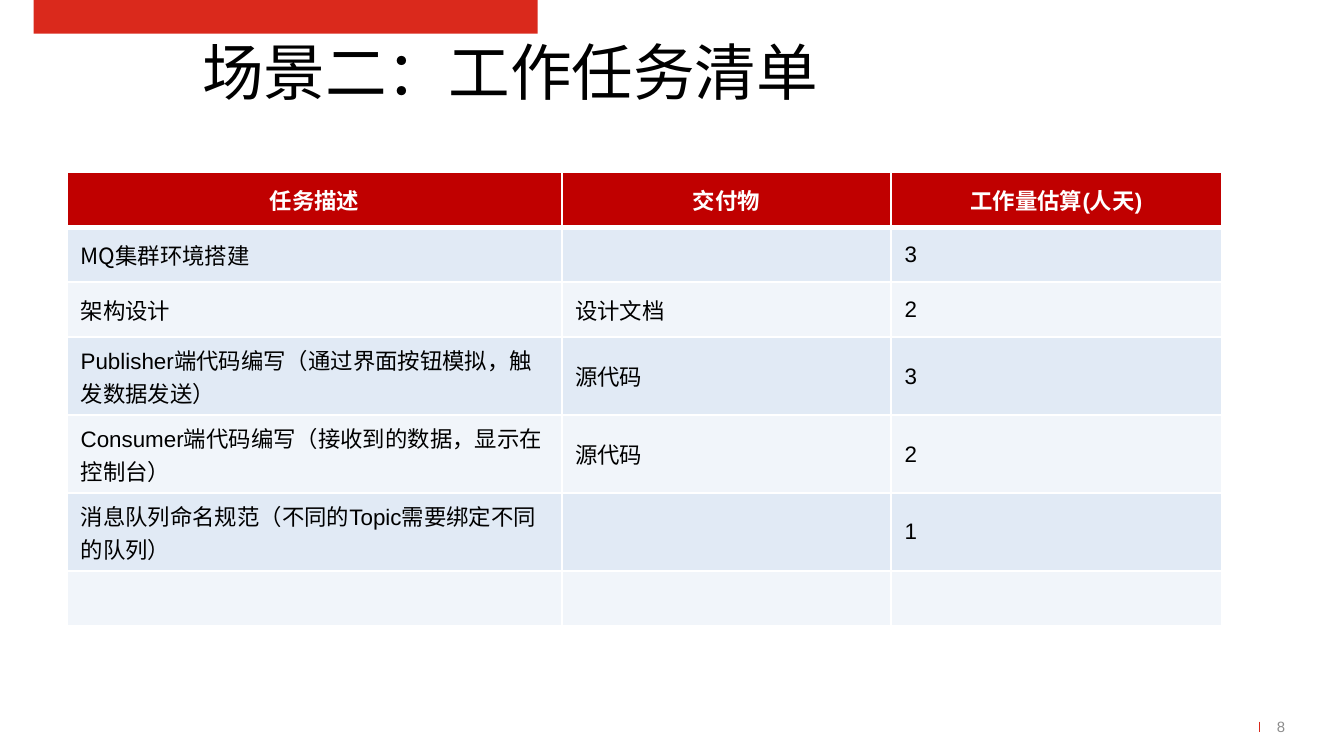
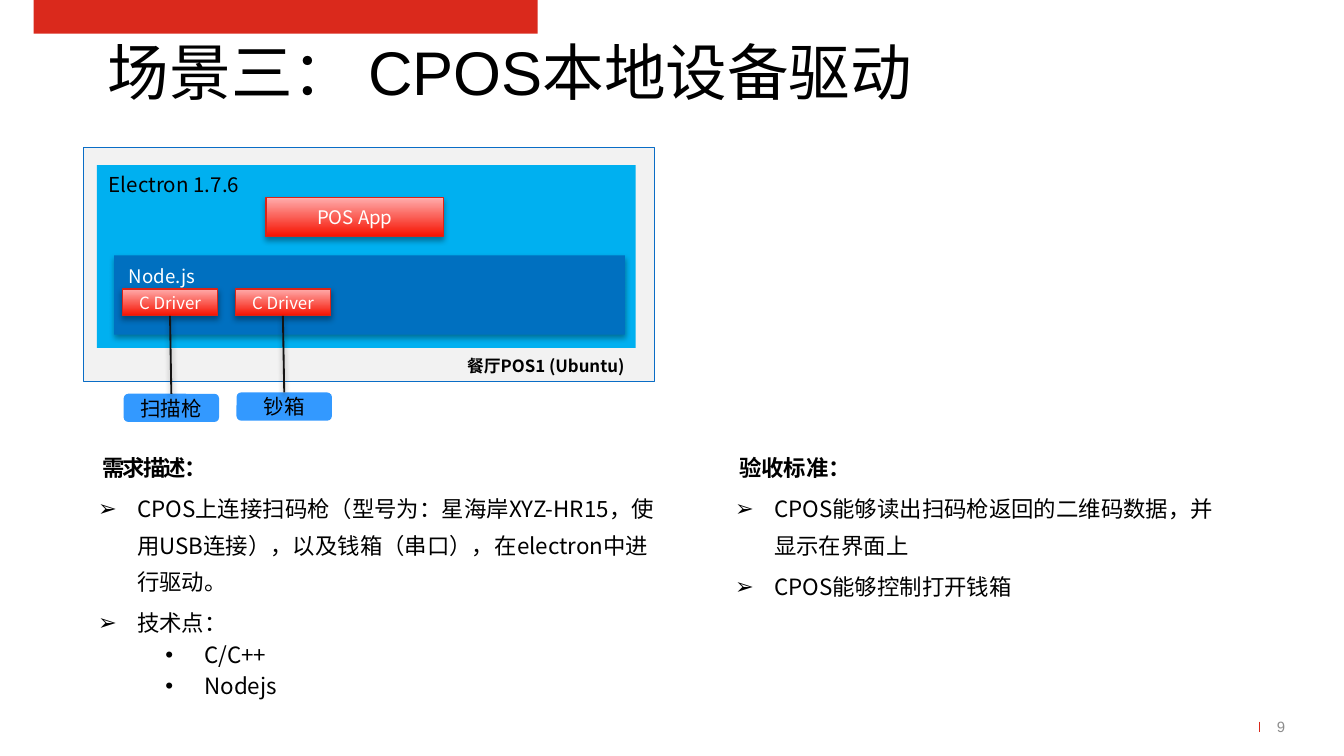
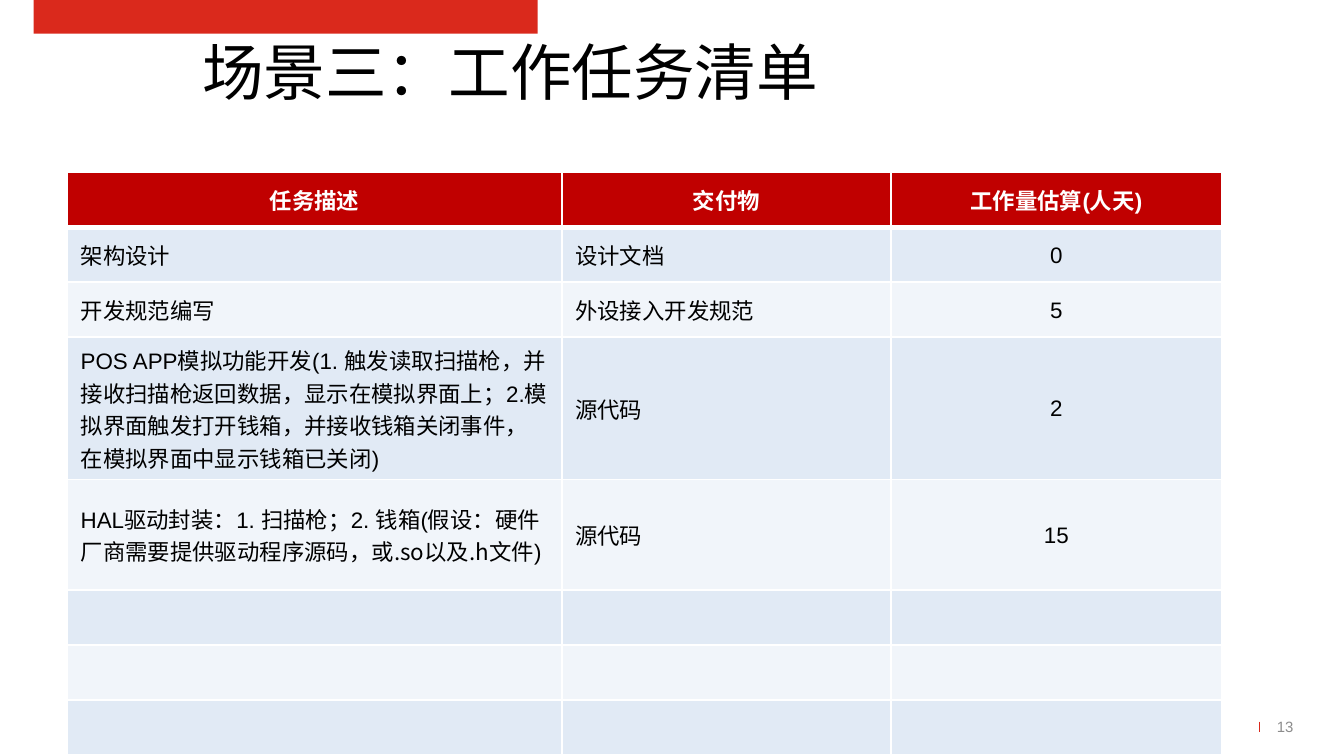
from lxml import etree
from pptx import Presentation
from pptx import util as u
from pptx.dml.color import RGBColor
from pptx.enum import shapes, text
from pptx.oxml import ns

PX = 9144  # EMU per px, 100 px to the inch
ARIAL, NOTO = "Arial", "Noto Sans CJK SC"
COLORS = {
    "red": "DA291C", "black": "000000", "white": "FFFFFF", "gray": "8C8C8C",
    "header": "C00000", "odd": "E1EAF5", "even": "F1F5FA",
    "machine": "F2F2F2", "machine_line": "0A6DC6", "device": "3399FF",
    "electron": "00B0F0", "node": "0070C0", "wire": "141313",
    "glow_bottom": "F61100", "glow_top": "FFADAC", "glow_line": "DA2417",
}
LEFT, CENTER = text.PP_ALIGN.LEFT, text.PP_ALIGN.CENTER
TOP, MIDDLE, BOTTOM = text.MSO_ANCHOR.TOP, text.MSO_ANCHOR.MIDDLE, text.MSO_ANCHOR.BOTTOM
RECT, ROUND = shapes.MSO_SHAPE.RECTANGLE, shapes.MSO_SHAPE.ROUNDED_RECTANGLE


def color(name):
    return RGBColor.from_string(COLORS[name])


def add_xml(parent, tag, **attributes):
    return etree.SubElement(parent, ns.qn(tag), attributes)


class Deck:
    def __init__(self):
        self.presentation = Presentation()
        self.presentation.slide_width = 1000 * PX
        self.presentation.slide_height = self.presentation.slide_width * 9 // 16
        self.slide = None

    def px(self, *lengths):
        return [length * PX for length in lengths]

    def new_slide(self, title, number):
        """Add a slide with the shared band, title and page number."""
        self.slide = self.presentation.slides.add_slide(self.presentation.slide_layouts[6])
        self.shape((25, 0, 375, 25), "red")
        self.text((25, 30, 709, 50), title, 33, font=ARIAL, align=CENTER,
                  anchor=BOTTOM, insets=(0, 0, 0, 0))
        self.text((950, 528, 25, 25), number, 8, "gray", font=ARIAL,
                  anchor=MIDDLE, insets=(0, 0, 0, 0))
        self.line((937, 537, 937, 545), "red", 0.5)

    def style(self, paragraph, size, ink="black", font=NOTO, bold=False, align=LEFT):
        paragraph.alignment = align
        paragraph.font.size = u.Pt(size)
        paragraph.font.name = font
        paragraph.font.bold = bold
        paragraph.font.color.rgb = color(ink)

    def inset(self, target, insets):
        (target.margin_left, target.margin_top,
         target.margin_right, target.margin_bottom) = self.px(*insets)

    def text(self, box, words, size, ink="black", font=NOTO, bold=False, align=LEFT,
             anchor=TOP, insets=(10, 5, 10, 5), wrap=True):
        frame = self.slide.shapes.add_textbox(*self.px(*box)).text_frame
        frame.word_wrap = wrap
        frame.vertical_anchor = anchor
        self.inset(frame, insets)
        frame.text = words
        self.style(frame.paragraphs[0], size, ink, font, bold, align)
        return frame

    def shadow(self, effects, opacity, distance):
        outer = add_xml(effects, "a:outerShdw", blurRad=str(u.Pt(3.1)),
                        dist=str(u.Pt(distance)), dir="5400000", rotWithShape="0")
        ink = add_xml(outer, "a:srgbClr", val=COLORS["black"])
        add_xml(ink, "a:alpha", val=str(opacity * 1000))

    def shape(self, box, fill, line=None, words="", size=11, ink="black",
              kind=RECT, shadow=False):
        shape = self.slide.shapes.add_shape(kind, *self.px(*box))
        shape.shadow.inherit = False
        if fill == "glow":
            shape.fill.gradient()
            shape.fill.gradient_angle = 90
            for stop, name in zip(shape.fill.gradient_stops, ("glow_bottom", "glow_top")):
                stop.color.rgb = color(name)
        else:
            shape.fill.solid()
            shape.fill.fore_color.rgb = color(fill)
        if line:
            shape.line.color.rgb = color(line)
            shape.line.width = u.Pt(0.75)
        else:
            shape.line.fill.background()
        if shadow:
            self.shadow(shape._element.spPr.find(ns.qn("a:effectLst")), 35, 1.8)
        if words:
            shape.text_frame.text = words
            shape.text_frame.vertical_anchor = MIDDLE
            self.style(shape.text_frame.paragraphs[0], size, ink, align=CENTER)
        return shape

    def button(self, box, words, size):
        return self.shape(box, "glow", "glow_line", words, size, "white", shadow=True)

    def line(self, ends, ink, width):
        connector = self.slide.shapes.add_connector(
            shapes.MSO_CONNECTOR.STRAIGHT, *self.px(*ends))
        connector.line.color.rgb = color(ink)
        connector.line.width = u.Pt(width)
        effects = add_xml(connector._element.spPr, "a:effectLst")
        return connector, effects

    def wire(self, upper, lower):
        connector, effects = self.line((0, 0, 0, 0), "wire", 1)
        connector.begin_connect(upper, 2)
        connector.end_connect(lower, 0)
        self.shadow(effects, 38, 1.6)

    def bullets(self, box, heading, tight, items):
        """Heading with a tightly spaced end, over items given as (level, words)."""
        frame = self.text(box, heading, 12, bold=True, insets=(4, 4, 4, 4))
        first = frame.paragraphs[0]
        first._p.get_or_add_pPr().set("marL", str(3 * PX))
        ending = first.add_run()
        ending.text = tight
        ending._r.get_or_add_rPr().set("spc", "-100")
        for level, words in items:
            paragraph = frame.add_paragraph()
            paragraph.text = words
            paragraph.level = level
            properties = paragraph._p.get_or_add_pPr()
            properties.set("marL", str((29 + 50 * level) * PX))
            properties.set("indent", str(-29 * PX))
            paragraph.space_before = u.Pt(2.4)
            if level == 0:
                paragraph.line_spacing = u.Pt(19.6)
            add_xml(properties, "a:buFont", typeface=ARIAL)
            add_xml(properties, "a:buChar", char="•" if level else "➢")
            self.style(paragraph, 12)

    def borders(self, cell, top, bottom):
        properties = cell._tc.get_or_add_tcPr()
        for tag, width in (("a:lnL", 1), ("a:lnR", 1), ("a:lnT", top), ("a:lnB", bottom)):
            edge = add_xml(properties, tag, w=str(u.Pt(width)))
            add_xml(add_xml(edge, "a:solidFill"), "a:srgbClr", val=COLORS["white"])

    def task_table(self, tasks, line_counts, center_days=False):
        """Task table; a cell is a string or a list of (words, font) runs.

        line_counts maps the rows of several lines to their number of lines.
        """
        rows = [("任务描述", "交付物", "工作量估算(人天)")] + tasks
        heights = [10 + 24 * line_counts[i] if i in line_counts else 41
                   for i in range(len(rows))]
        widths = (368, 245, 246)
        table = self.slide.shapes.add_table(
            len(rows), len(widths), *self.px(50, 128, sum(widths), sum(heights))).table
        for column, width in zip(table.columns, widths):
            column.width = width * PX
        for i, row in enumerate(rows):
            table.rows[i].height = heights[i] * PX
            header = i == 0
            for j, content in enumerate(row):
                cell = table.cell(i, j)
                cell.vertical_anchor = MIDDLE
                self.borders(cell, 3 if i == 1 else 1, 3 if header else 1)
                cell.fill.solid()
                cell.fill.fore_color.rgb = color(
                    "header" if header else "odd" if i % 2 else "even")
                centered = center_days and j == 2 and not header
                if centered:
                    self.inset(cell, (1, 1, 1, 0))
                paragraph = cell.text_frame.paragraphs[0]
                self.style(paragraph, 12, "white" if header else "black", ARIAL, header,
                           CENTER if header or centered else LEFT)
                runs = [(content, ARIAL)] if isinstance(content, str) else content
                for words, font in runs:
                    if words:
                        run = paragraph.add_run()
                        run.text = words
                        if font != ARIAL:
                            run.font.name = font


def message_tasks(deck):
    deck.new_slide("场景二：工作任务清单", "8")
    deck.task_table([
        ([("MQ集群环境搭建", NOTO)], "", "3"),
        ([("架构设计", NOTO)], "设计文档", "2"),
        ("Publisher端代码编写（通过界面按钮模拟，触发数据发送）", "源代码", "3"),
        ("Consumer端代码编写（接收到的数据，显示在控制台）", "源代码", "2"),
        ("消息队列命名规范（不同的Topic需要绑定不同的队列）", "", "1"),
        ("", "", ""),
    ], {3: 2, 4: 2, 5: 2})


def device_drivers(deck):
    deck.new_slide("场景三： CPOS本地设备驱动", "9")
    # Requirements
    deck.bullets((69, 334, 427, 197), "", "需求描述：", [
        (0, "CPOS上连接扫码枪（型号为：星海岸XYZ-HR15，使用USB连接），"
            "以及钱箱（串口），在electron中进行驱动。"),
        (0, "技术点："),
        (1, "C/C++"),
        (1, "Nodejs"),
    ])
    # Machine, devices and runtime layers
    deck.shape((62, 110, 425, 174), "machine", "machine_line")
    cash_box = deck.shape((176, 292, 71, 21), "device", words="钞箱", kind=ROUND)
    scanner = deck.shape((92, 293, 71, 21), "device", words="扫描枪", kind=ROUND)
    deck.shape((72, 123, 401, 136), "electron")
    deck.shape((85, 190, 380, 59), "node", shadow=True)
    deck.text((329, 260, 154, 25), "餐厅POS1 (Ubuntu)", 9, bold=True, align=CENTER)
    deck.text((70, 123, 119, 29), "Electron 1.7.6", 11, align=CENTER, wrap=False)
    # Drivers wired to their devices
    drivers = [deck.button((left, 215, 71, 20), "C Driver", 9) for left in (91, 175)]
    for driver, device in zip(drivers, (scanner, cash_box)):
        deck.wire(driver, device)
    deck.text((72, 192, 97, 27), "Node.js", 10, "white", align=CENTER)
    deck.button((198, 147, 132, 29), "POS App", 10)
    # Acceptance criteria
    deck.bullets((543, 334, 372, 120), "验收标准", "：", [
        (0, "CPOS能够读出扫码枪返回的二维码数据，并显示在界面上"),
        (0, "CPOS能够控制打开钱箱"),
    ])


def driver_tasks(deck):
    deck.new_slide("场景三：工作任务清单", "13")
    deck.task_table([
        ([("架构设计", NOTO)], "设计文档", "0"),
        ("开发规范编写", "外设接入开发规范", "5"),
        ("POS APP模拟功能开发(1. 触发读取扫描枪，并接收扫描枪返回数据，显示在模拟界面上；"
         "2.模拟界面触发打开钱箱，并接收钱箱关闭事件，在模拟界面中显示钱箱已关闭)",
         "源代码", "2"),
        ([("HAL驱动封装：1. 扫描枪；2. 钱箱(假设：", ARIAL),
          ("硬件厂商需要提供驱动程序源码，或.so以及.h文件", NOTO), (")", ARIAL)],
         "源代码", "15"),
    ] + [("", "", "")] * 3, {3: 4, 4: 3}, center_days=True)


def main():
    deck = Deck()
    message_tasks(deck)
    device_drivers(deck)
    driver_tasks(deck)
    deck.presentation.save("out.pptx")


if __name__ == "__main__":
    main()
